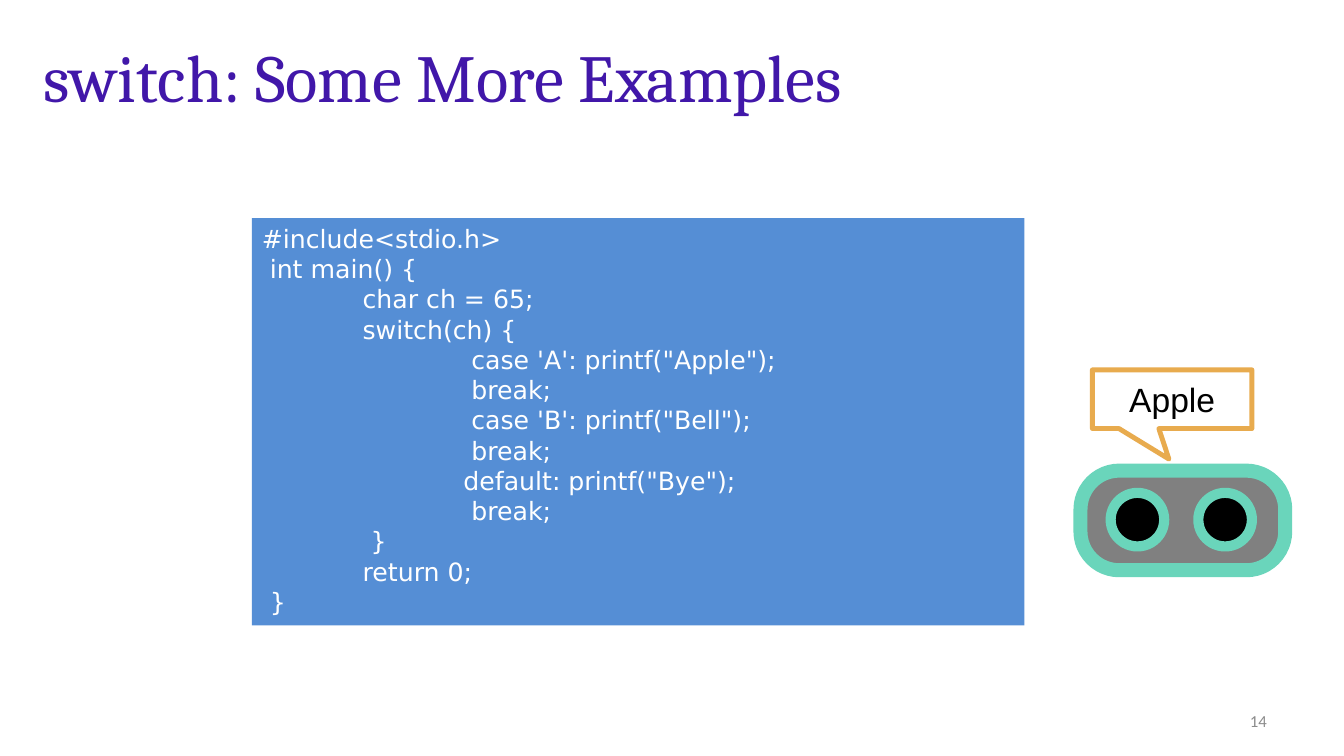
from dataclasses import dataclass

from pptx import Presentation
from pptx.dml.color import RGBColor
from pptx.enum.shapes import MSO_SHAPE
from pptx.enum.text import MSO_ANCHOR, PP_ALIGN
from pptx.util import Cm, Pt

RECTANGLE = MSO_SHAPE.RECTANGLE
ROUNDED = MSO_SHAPE.ROUNDED_RECTANGLE
OVAL = MSO_SHAPE.OVAL
CALLOUT = MSO_SHAPE.RECTANGULAR_CALLOUT
TOP, MIDDLE = MSO_ANCHOR.TOP, MSO_ANCHOR.MIDDLE
LEFT, CENTER, RIGHT = PP_ALIGN.LEFT, PP_ALIGN.CENTER, PP_ALIGN.RIGHT
BLANK_LAYOUT = 6


@dataclass(frozen=True)
class TextStyle:
    """Font, size in points and colour of one kind of text."""
    font: str
    size: float
    color: str


@dataclass(frozen=True)
class Theme:
    """Colours and text styles of the slide."""
    panel: str = "558ED5"
    robot_body: str = "808080"
    robot_rim: str = "6AD5BB"
    robot_eye: str = "000000"
    bubble: str = "FFFFFF"
    bubble_rim: str = "E8AB4E"
    title: TextStyle = TextStyle("Cambria", 48, "4117A9")
    code: TextStyle = TextStyle("DejaVu Sans", 18, "FFFFFF")
    speech: TextStyle = TextStyle("Arial", 24, "000000")
    number: TextStyle = TextStyle("Calibri", 12, "8C8C8C")


class SlideBuilder:
    """Draws themed elements on one slide; boxes are in centimetres."""

    def __init__(self, slide, theme):
        """Keep the slide and its theme."""
        self.slide = slide
        self.theme = theme

    def fill_text(self, shape, lines, style, align=LEFT, anchor=TOP):
        """Fill a shape with (indent in cm, text) lines."""
        frame = shape.text_frame
        frame.word_wrap = True
        frame.vertical_anchor = anchor
        for index, (indent, text) in enumerate(lines):
            paragraph = frame.add_paragraph() if index else frame.paragraphs[0]
            paragraph.text = text
            paragraph.alignment = align
            paragraph.font.name = style.font
            paragraph.font.size = Pt(style.size)
            paragraph.font.color.rgb = RGBColor.from_string(style.color)
            if indent:
                properties = paragraph._p.get_or_add_pPr()
                properties.set("marL", str(Cm(indent)))
                properties.set("indent", "0")

    def label(self, box, text, style, align=LEFT):
        """Add a vertically centred text box."""
        shape = self.slide.shapes.add_textbox(*map(Cm, box))
        self.fill_text(shape, [(0, text)], style, align, MIDDLE)

    def shape(self, kind, box, fill, rim=None, rim_width=0, adjustments=()):
        """Add a flat preset shape, outlined when a rim colour is given."""
        shape = self.slide.shapes.add_shape(kind, *map(Cm, box))
        shape.shadow.inherit = False
        shape.fill.solid()
        shape.fill.fore_color.rgb = RGBColor.from_string(fill)
        if rim:
            shape.line.color.rgb = RGBColor.from_string(rim)
            shape.line.width = Pt(rim_width)
        else:
            shape.line.fill.background()
        for index, value in enumerate(adjustments):
            shape.adjustments[index] = value
        return shape

    def code(self, box, lines):
        """Add a panel of indented code."""
        panel = self.shape(RECTANGLE, box, self.theme.panel)
        self.fill_text(panel, lines, self.theme.code)

    def robot(self, left, top):
        """Add a robot head with two eyes."""
        theme = self.theme
        self.shape(ROUNDED, (left, top, 5.16, 2.51), theme.robot_body,
                   theme.robot_rim, 10, [0.39])
        for offset in (0.76, 2.97):
            self.shape(OVAL, (left + offset, top + 0.56, 1.35, 1.35),
                       theme.robot_eye, theme.robot_rim, 7.25)

    def speech(self, box, text):
        """Add a speech bubble pointing down."""
        theme = self.theme
        bubble = self.shape(CALLOUT, box, theme.bubble, theme.bubble_rim,
                            3.5, [-0.02, 1.02])
        self.fill_text(bubble, [(0, text)], theme.speech, CENTER, MIDDLE)


TAB = 2.54
SPACE = 0.2
CODE = [
    (0, "#include<stdio.h>"),
    (SPACE, "int main() {"),
    (TAB, "char ch = 65;"),
    (TAB, "switch(ch) {"),
    (2 * TAB + SPACE, "case 'A': printf(\"Apple\");"),
    (2 * TAB + SPACE, "break;"),
    (2 * TAB + SPACE, "case 'B': printf(\"Bell\");"),
    (2 * TAB + SPACE, "break;"),
    (2 * TAB, "default: printf(\"Bye\");"),
    (2 * TAB + SPACE, "break;"),
    (TAB + SPACE, "}"),
    (TAB, "return 0;"),
    (SPACE, "}"),
]


def main():
    """Build and save the slide."""
    presentation = Presentation()
    presentation.slide_width = Cm(33.87)
    presentation.slide_height = Cm(19.05)
    layout = presentation.slide_layouts[BLANK_LAYOUT]
    theme = Theme()
    builder = SlideBuilder(presentation.slides.add_slide(layout), theme)
    builder.label((0.85, 0.85, 30.48, 2.12), "switch: Some More Examples",
                  theme.title)
    builder.code((6.35, 5.5, 19.47, 10.26), CODE)
    builder.robot(27.23, 11.86)
    builder.speech((27.53, 9.32, 4.02, 1.48), "Apple")
    builder.label((24.28, 17.65, 7.9, 1.02), "14", theme.number, RIGHT)
    presentation.save("out.pptx")


main()
